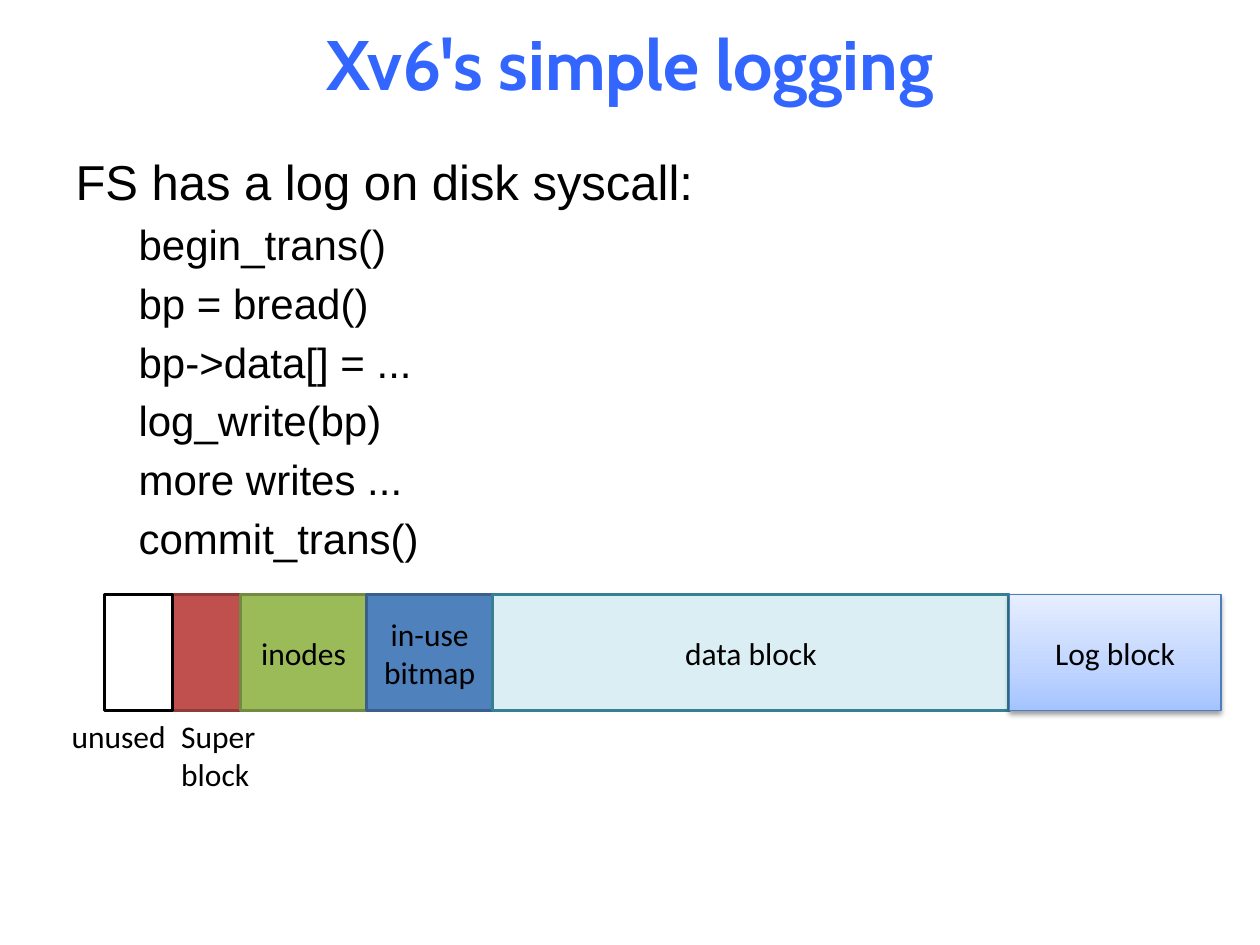
from copy import deepcopy
from dataclasses import dataclass
from itertools import accumulate

from pptx import Presentation
from pptx import util as u
from pptx.dml.color import RGBColor
from pptx.enum import shapes, text
from pptx.oxml import ns
from pptx.oxml.xmlchemy import OxmlElement


@dataclass(frozen=True)
class Theme:
    ink: str = "000000"
    title_blue: str = "3366FF"
    unused: tuple = ("FFFFFF", "000000")
    superblock: tuple = ("C0504D", "8E3B39")
    inodes: tuple = ("9BBB59", "738A42")
    bitmap: tuple = ("4F81BD", "3A5F8C")
    data: tuple = ("DBEEF4", "377F92")
    log_stops: tuple = ((0, "A4C4FF"), (0.35, "BFD4FF"), (1, "E6EEFF"))
    log_edge: str = "4B7EBC"
    title_font: str = "Cabin"
    body_font: str = "Arial"
    label_font: str = "Calibri"
    title_size: int = 40
    body_sizes: tuple = (28, 24)
    label_size: int = 18


def rgb(value):
    return RGBColor.from_string(value)


class SlideBuilder:
    def __init__(self, slide, theme):
        self.slide = slide
        self.theme = theme

    def place(self, shape, left, top, width, height):
        shape.left, shape.top = u.Inches(left), u.Inches(top)
        shape.width, shape.height = u.Inches(width), u.Inches(height)

    def add_words(self, paragraph, words, font, size, color=None, bold=False):
        run = paragraph.add_run()
        run.text = words
        run.font.name = font
        run.font.size = u.Pt(size)
        run.font.bold = bold
        run.font.color.rgb = rgb(color or self.theme.ink)

    def title(self, words, *box):
        heading = self.slide.shapes.title
        self.place(heading, *box)
        heading.text_frame.vertical_anchor = text.MSO_ANCHOR.MIDDLE
        paragraph = heading.text_frame.paragraphs[0]
        paragraph.alignment = text.PP_ALIGN.CENTER
        self.add_words(paragraph, words, self.theme.title_font,
                       self.theme.title_size, self.theme.title_blue, True)

    def body(self, lines, *box):
        outline = self.slide.placeholders[1]
        self.place(outline, *box)
        frame = outline.text_frame
        frame.auto_size = text.MSO_AUTO_SIZE.NONE
        for index, (level, words) in enumerate(lines):
            paragraph = frame.add_paragraph() if index else frame.paragraphs[0]
            paragraph.level = level
            properties = paragraph._p.get_or_add_pPr()
            properties.set("marL", str(u.Inches(0.5 * level)))
            properties.set("indent", "0")
            properties.append(OxmlElement("a:buNone"))
            self.add_words(paragraph, words, self.theme.body_font,
                           self.theme.body_sizes[level])

    def block(self, parent, words, colors, edge_width, *box):
        fill, edge = colors
        region = parent.add_shape(shapes.MSO_SHAPE.RECTANGLE, *map(u.Inches, box))
        region.shadow.inherit = False
        region.fill.solid()
        region.fill.fore_color.rgb = rgb(fill)
        region.line.color.rgb = rgb(edge)
        region.line.width = u.Pt(edge_width)
        if words:
            region.text_frame.word_wrap = True
            region.text_frame.vertical_anchor = text.MSO_ANCHOR.MIDDLE
            paragraph = region.text_frame.paragraphs[0]
            paragraph.alignment = text.PP_ALIGN.CENTER
            self.add_words(paragraph, words, self.theme.label_font,
                           self.theme.label_size)
        return region

    def raised_block(self, words, stops, edge, *box):
        region = self.block(self.slide.shapes, words, (stops[0][1], edge), 0.75, *box)
        region.fill.gradient()
        region.fill.gradient_angle = 90
        stop_list = region._element.spPr.find(".//" + ns.qn("a:gsLst"))
        stop_list.append(deepcopy(stop_list[0]))
        for stop, (position, color) in zip(region.fill.gradient_stops, stops):
            stop.position = position
            stop.color.rgb = rgb(color)
        shadow = OxmlElement("a:outerShdw")
        for key, value in (("blurRad", u.Pt(3.1)), ("dist", u.Pt(1.6)),
                           ("dir", 90 * 60000), ("rotWithShape", 0)):
            shadow.set(key, str(int(value)))
        tint = OxmlElement("a:srgbClr")
        tint.set("val", self.theme.ink)
        alpha = OxmlElement("a:alpha")
        alpha.set("val", "38000")
        tint.append(alpha)
        shadow.append(tint)
        region._element.spPr.find(ns.qn("a:effectLst")).append(shadow)

    def caption(self, lines, *box):
        frame = self.slide.shapes.add_textbox(*map(u.Inches, box)).text_frame
        frame.word_wrap = False
        frame.auto_size = text.MSO_AUTO_SIZE.SHAPE_TO_FIT_TEXT
        for index, words in enumerate(lines):
            paragraph = frame.add_paragraph() if index else frame.paragraphs[0]
            self.add_words(paragraph, words, self.theme.label_font,
                           self.theme.label_size)


def main():
    deck = Presentation()
    deck.slide_width, deck.slide_height = u.Inches(10), u.Inches(7.5)
    theme = Theme()
    page = SlideBuilder(deck.slides.add_slide(deck.slide_layouts[1]), theme)

    page.title("Xv6's simple logging", 0.5, 0, 9, 0.99)
    calls = ("begin_trans()", "bp = bread()", "bp->data[] = ...",
             "log_write(bp)", "more writes ...", "commit_trans()")
    page.body([(0, "FS has a log on disk syscall:")] + [(1, call) for call in calls],
              0.5, 1.15, 9, 5.55)

    disk_left, disk_top, disk_height = 0.83, 4.72, 0.92
    regions = (
        ("", theme.unused, 0.54),
        ("", theme.superblock, 0.54),
        ("inodes", theme.inodes, 1),
        ("in-use bitmap", theme.bitmap, 1),
        ("data block", theme.data, 4.1),
    )
    lefts = list(accumulate((width for _, _, width in regions), initial=disk_left))
    disk = page.slide.shapes.add_group_shape().shapes
    for index in (1, 2, 3, 0, 4):
        words, colors, width = regions[index]
        page.block(disk, words, colors, 2, lefts[index], disk_top, width, disk_height)

    caption_top = disk_top + disk_height
    page.caption(["unused"], 0.47, caption_top, 0.96, 0.4)
    page.caption(["Super", "block"], 1.34, caption_top, 0.8, 0.71)
    page.raised_block("Log block", theme.log_stops, theme.log_edge,
                      lefts[-1], disk_top, 1.68, disk_height)

    deck.save("out.pptx")


if __name__ == "__main__":
    main()
